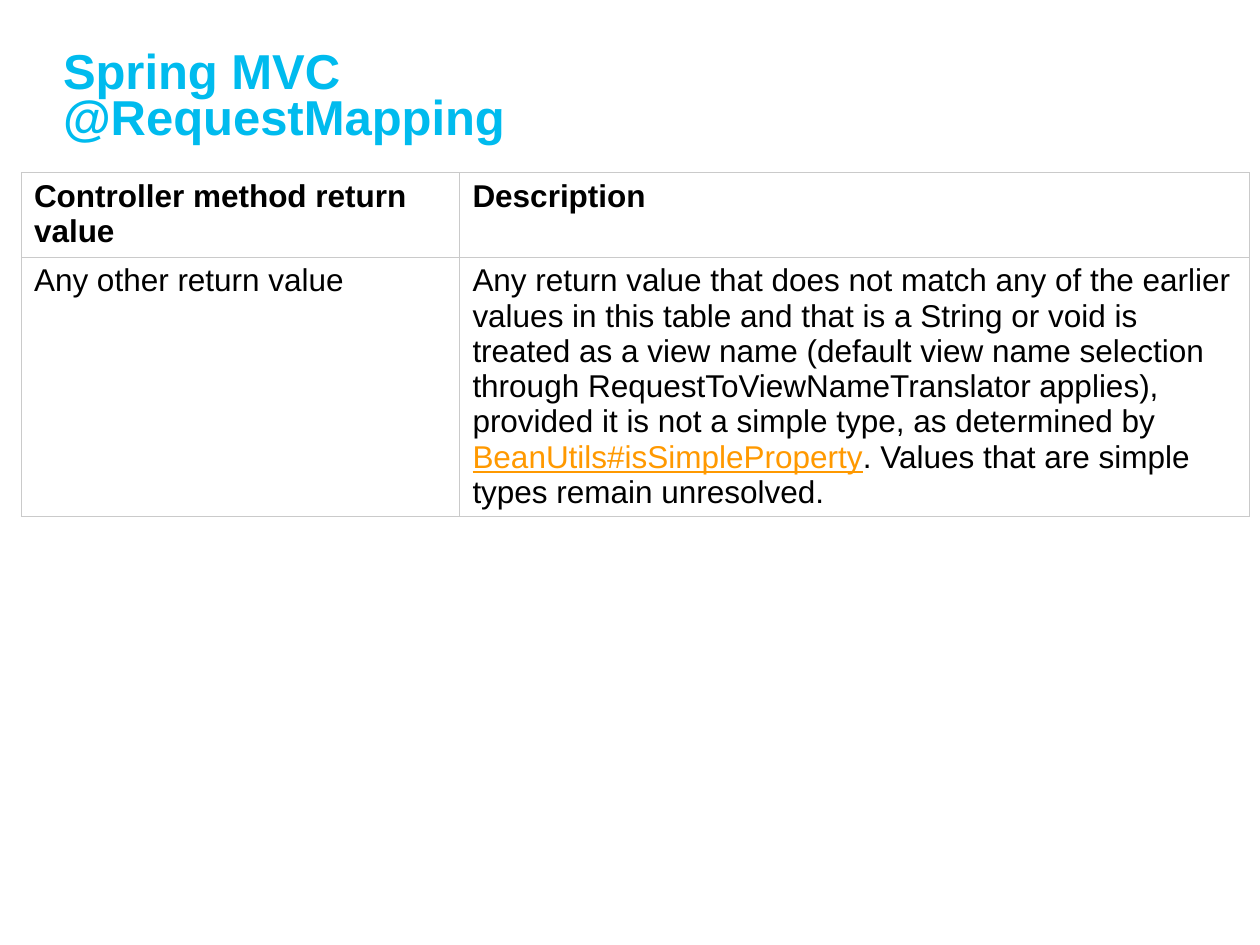
"""Build the slide on return values of Spring MVC request mappings."""
from dataclasses import dataclass

from lxml.etree import SubElement
from pptx import Presentation
from pptx.dml.color import RGBColor
from pptx.enum.text import MSO_ANCHOR, MSO_AUTO_SIZE, PP_ALIGN
from pptx.oxml.ns import qn
from pptx.slide import Slide
from pptx.table import _Cell
from pptx.util import Inches, Pt

CYAN = RGBColor(0x00, 0xBB, 0xEE)
BLACK = RGBColor(0x00, 0x00, 0x00)
WHITE = RGBColor(0xFF, 0xFF, 0xFF)
GREY = RGBColor(0xCA, 0xCA, 0xCA)
ORANGE = RGBColor(0xFF, 0x99, 0x00)
FACE = "Arial"
COLS = (3.48, 6.27)
ROWS = (0.67, 2.06)


@dataclass(frozen=True)
class Span:
    """A stretch of cell text, marked as a reference or plain."""
    text: str
    ref: bool = False


GRID = (
    ((Span("Controller method return value"),), (Span("Description"),)),
    ((Span("Any other return value"),), (
        Span("Any return value that does not match any of the earlier values "
             "in this table and that is a String or void is treated as a view "
             "name (default view name selection through "
             "RequestToViewNameTranslator applies), provided it is not a "
             "simple type, as determined by "),
        Span("BeanUtils#isSimpleProperty", True),
        Span(". Values that are simple types remain unresolved."),
    )),
)


def add_title(slide: Slide, text: str) -> None:
    """Place and format the title."""
    title = slide.shapes.title
    title.left, title.top = Inches(0.5), Inches(0.2)
    title.width, title.height = Inches(9), Inches(0.95)
    frame = title.text_frame
    frame.auto_size = MSO_AUTO_SIZE.NONE
    frame.word_wrap = True
    frame.vertical_anchor = MSO_ANCHOR.BOTTOM
    frame.margin_left = frame.margin_right = 0
    frame.margin_top = frame.margin_bottom = 0
    para = frame.paragraphs[0]
    para.text = text
    para.alignment = PP_ALIGN.LEFT
    para.line_spacing = Pt(26)
    font = para.font
    font.name, font.size, font.bold = FACE, Pt(28), True
    font.color.rgb = CYAN


def add_edges(cell: _Cell) -> None:
    """Draw a thin grey line on each side of a cell."""
    props = cell._tc.get_or_add_tcPr()
    for side in ("L", "R", "T", "B"):
        line = SubElement(props, qn(f"a:ln{side}"), w=str(Pt(0.6)))
        fill = SubElement(line, qn("a:solidFill"))
        SubElement(fill, qn("a:srgbClr"), val=str(GREY))


def fill_cell(cell: _Cell, spans: tuple[Span, ...], bold: bool) -> None:
    """Write the spans into a cell and style it."""
    add_edges(cell)
    cell.fill.solid()
    cell.fill.fore_color.rgb = WHITE
    para = cell.text_frame.paragraphs[0]
    font = para.font
    font.name, font.size, font.bold = FACE, Pt(18), bold
    for span in spans:
        run = para.add_run()
        run.text = span.text
        run.font.color.rgb = ORANGE if span.ref else BLACK
        run.font.underline = span.ref


def add_grid(slide: Slide) -> None:
    """Add the table of return values."""
    table = slide.shapes.add_table(
        len(ROWS), len(COLS), Inches(0.17), Inches(1.37),
        Inches(sum(COLS)), Inches(sum(ROWS))).table
    table.horz_banding = False
    for col, width in zip(table.columns, COLS):
        col.width = Inches(width)
    for row, high, items in zip(table.rows, ROWS, GRID):
        row.height = Inches(high)
        for cell, spans in zip(row.cells, items):
            fill_cell(cell, spans, items is GRID[0])


def main() -> None:
    """Build and save the slide."""
    deck = Presentation()
    deck.slide_width, deck.slide_height = Inches(10), Inches(7.5)
    slide = deck.slides.add_slide(deck.slide_layouts[5])
    add_title(slide, "Spring MVC\v@RequestMapping")
    add_grid(slide)
    deck.save("out.pptx")


if __name__ == "__main__":
    main()
